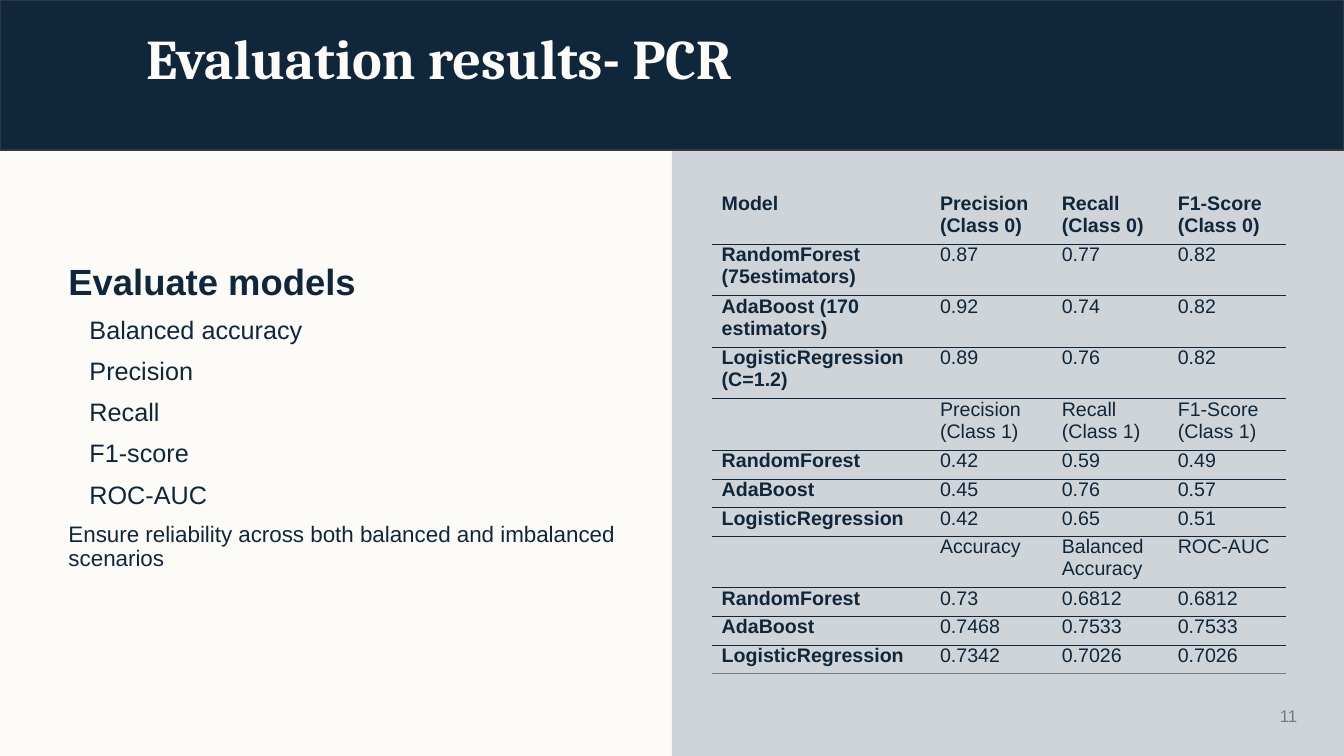
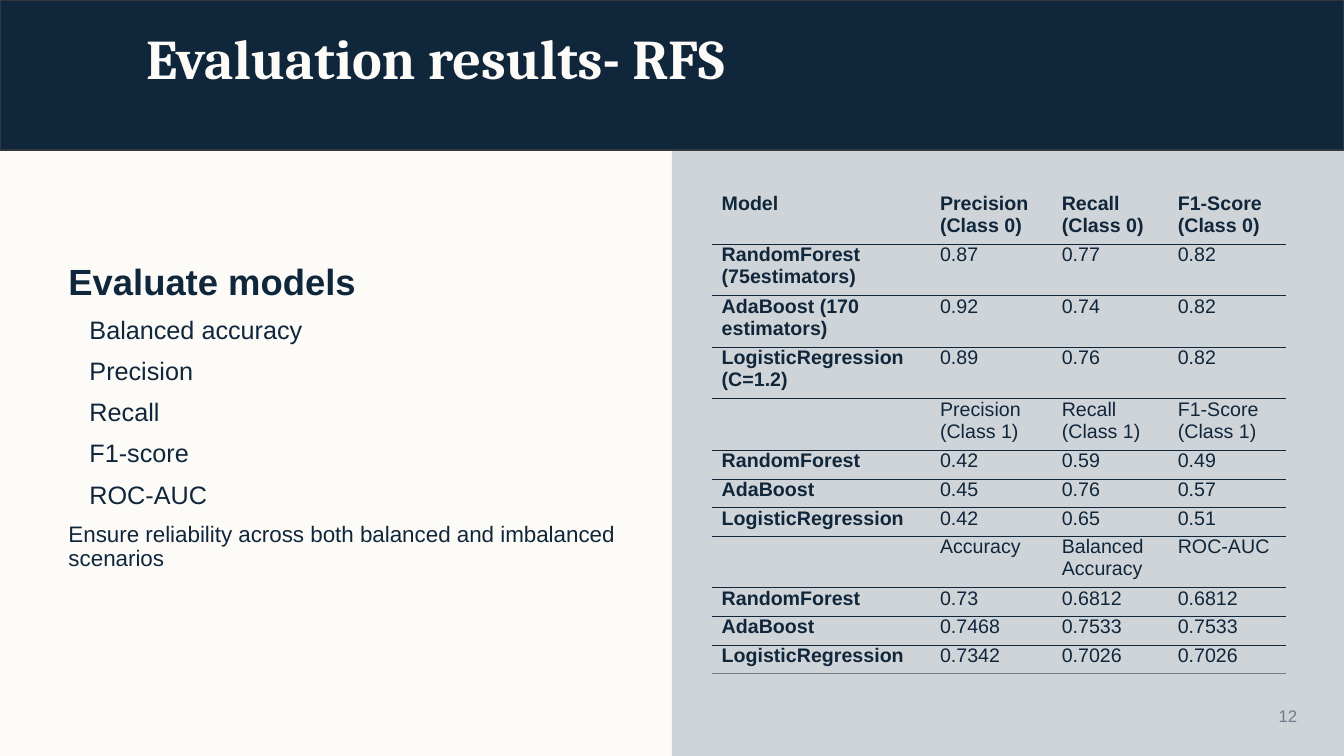
"""Build two slides of model evaluation results with a shared frame, summary and score table."""
from dataclasses import dataclass

import lxml.etree
import pptx
import pptx.dml.color
import pptx.enum.shapes
import pptx.enum.text
import pptx.oxml.ns
import pptx.util


@dataclass(frozen=True)
class Theme:
    navy: str = "10263B"
    cream: str = "FCFBF8"
    silver: str = "CFD4D8"
    slate: str = "707D89"
    charcoal: str = "31373C"
    title_font: str = "Cambria"
    body_font: str = "Arial"
    title_size: int = 40
    heading_size: int = 26
    item_size: int = 18
    note_size: int = 16
    table_size: int = 14
    number_size: int = 12


theme = Theme()
titles = ["Evaluation results- PCR", "Evaluation results- RFS"]
first_number = 11
band_height = 19.87

summary = [
    ("Evaluate models", theme.heading_size, True, 0),
    ("Balanced accuracy", theme.item_size, False, 15),
    ("Precision", theme.item_size, False, 15),
    ("Recall", theme.item_size, False, 15),
    ("F1-score", theme.item_size, False, 15),
    ("ROC-AUC", theme.item_size, False, 15),
    ("Ensure reliability across both balanced and imbalanced scenarios", theme.note_size, False, 0),
]

scores = [
    ("Model", "Precision (Class 0)", "Recall (Class 0)", "F1-Score (Class 0)"),
    ("RandomForest (75estimators)", "0.87", "0.77", "0.82"),
    ("AdaBoost (170 estimators)", "0.92", "0.74", "0.82"),
    ("LogisticRegression (C=1.2)", "0.89", "0.76", "0.82"),
    ("", "Precision (Class 1)", "Recall (Class 1)", "F1-Score (Class 1)"),
    ("RandomForest", "0.42", "0.59", "0.49"),
    ("AdaBoost", "0.45", "0.76", "0.57"),
    ("LogisticRegression", "0.42", "0.65", "0.51"),
    ("", "Accuracy", "Balanced Accuracy", "ROC-AUC"),
    ("RandomForest", "0.73", "0.6812", "0.6812"),
    ("AdaBoost", "0.7468", "0.7533", "0.7533"),
    ("LogisticRegression", "0.7342", "0.7026", "0.7026"),
]
column_shares = [38, 21.2, 20.2, 20.6]
row_weights = [9, 9, 9, 9, 9, 5, 5, 5, 9, 5, 5, 5]

presentation = pptx.Presentation()
presentation.slide_width = pptx.util.Inches(40 / 3)
presentation.slide_height = pptx.util.Inches(7.5)
background = presentation.slide_master.background.fill
background.solid()
background.fore_color.rgb = pptx.dml.color.RGBColor.from_string(theme.cream)


def area(left, top, width, height):
    """Turn percentages of the slide into a position and a size."""
    across, down = presentation.slide_width / 100, presentation.slide_height / 100
    return int(left * across), int(top * down), int(width * across), int(height * down)


def style(paragraph, size, color, bold=False, name=theme.body_font):
    """Set the font of a whole paragraph."""
    font = paragraph.font
    font.name, font.size, font.bold = name, pptx.util.Pt(size), bold
    font.color.rgb = pptx.dml.color.RGBColor.from_string(color)


for number, title in enumerate(titles, first_number):
    slide = presentation.slides.add_slide(presentation.slide_layouts[6])

    for place, color, outline in [
        ((50, band_height, 50, 100 - band_height), theme.silver, None),
        ((0, 0, 100, band_height), theme.navy, theme.charcoal),
    ]:
        shape = slide.shapes.add_shape(pptx.enum.shapes.MSO_SHAPE.RECTANGLE, *area(*place))
        shape.shadow.inherit = False
        shape.fill.solid()
        shape.fill.fore_color.rgb = pptx.dml.color.RGBColor.from_string(color)
        if outline:
            shape.line.color.rgb = pptx.dml.color.RGBColor.from_string(outline)
            shape.line.width = pptx.util.Pt(1)
        else:
            shape.line.fill.background()

    frames = []
    for place in [
        (10.88, 1.33, 85.65, 13.07),
        (5.1, 34.93, 42.75, 44.67),
        (90.6, 93.33, 5.93, 2.93),
    ]:
        frame = slide.shapes.add_textbox(*area(*place)).text_frame
        frame.word_wrap = True
        frame.margin_left = frame.margin_right = frame.margin_top = frame.margin_bottom = 0
        frames.append(frame)
    title_frame, summary_frame, number_frame = frames

    title_frame.margin_top = pptx.util.Inches(0.24)
    title_frame.margin_bottom = pptx.util.Inches(0.16)
    paragraph = title_frame.paragraphs[0]
    paragraph.text = title
    paragraph.line_spacing = pptx.util.Pt(theme.title_size)
    style(paragraph, theme.title_size, theme.cream, True, theme.title_font)

    for index, (text, size, bold, indent) in enumerate(summary):
        paragraph = summary_frame.add_paragraph() if index else summary_frame.paragraphs[0]
        paragraph.text = text
        paragraph.line_spacing = 0.9
        paragraph.space_before = pptx.util.Pt(10 if index else 0)
        style(paragraph, size, theme.navy, bold)
        paragraph.font._element.getparent().set("marL", str(pptx.util.Pt(indent)))

    paragraph = number_frame.paragraphs[0]
    paragraph.text = str(number)
    paragraph.alignment = pptx.enum.text.PP_ALIGN.RIGHT
    style(paragraph, theme.number_size, theme.slate)

    place = area(52.95, 25.47, 42.75, 63.6)
    graphic = slide.shapes.add_table(len(scores), len(column_shares), *place)
    table = graphic.table
    table.first_row = table.horz_banding = False
    for column, share in zip(table.columns, column_shares):
        column.width = int(place[2] * share / 100)
    for row, weight in zip(table.rows, row_weights):
        row.height = int(place[3] * weight / sum(row_weights))

    last = len(scores) - 1
    for row_index, values in enumerate(scores):
        for column_index, value in enumerate(values):
            cell = table.cell(row_index, column_index)
            cell.margin_left = cell.margin_right = pptx.util.Inches(0.1)
            cell.margin_top = cell.margin_bottom = 0
            paragraph = cell.text_frame.paragraphs[0]
            paragraph.text = value
            style(paragraph, theme.table_size, theme.navy, row_index == 0 or column_index == 0)

            properties = cell._tc.get_or_add_tcPr()
            bottom = (theme.slate, 1) if row_index == last else (theme.navy, 0.25)
            top = (theme.navy, 0.25) if row_index else None
            for side, border in [("lnL", None), ("lnR", None), ("lnT", top), ("lnB", bottom)]:
                line = lxml.etree.SubElement(properties, pptx.oxml.ns.qn("a:" + side))
                if border:
                    line.set("w", str(pptx.util.Pt(border[1])))
                    fill = lxml.etree.SubElement(line, pptx.oxml.ns.qn("a:solidFill"))
                    lxml.etree.SubElement(fill, pptx.oxml.ns.qn("a:srgbClr"), val=border[0])
                else:
                    lxml.etree.SubElement(line, pptx.oxml.ns.qn("a:noFill"))
            cell.fill.background()

presentation.save("out.pptx")
